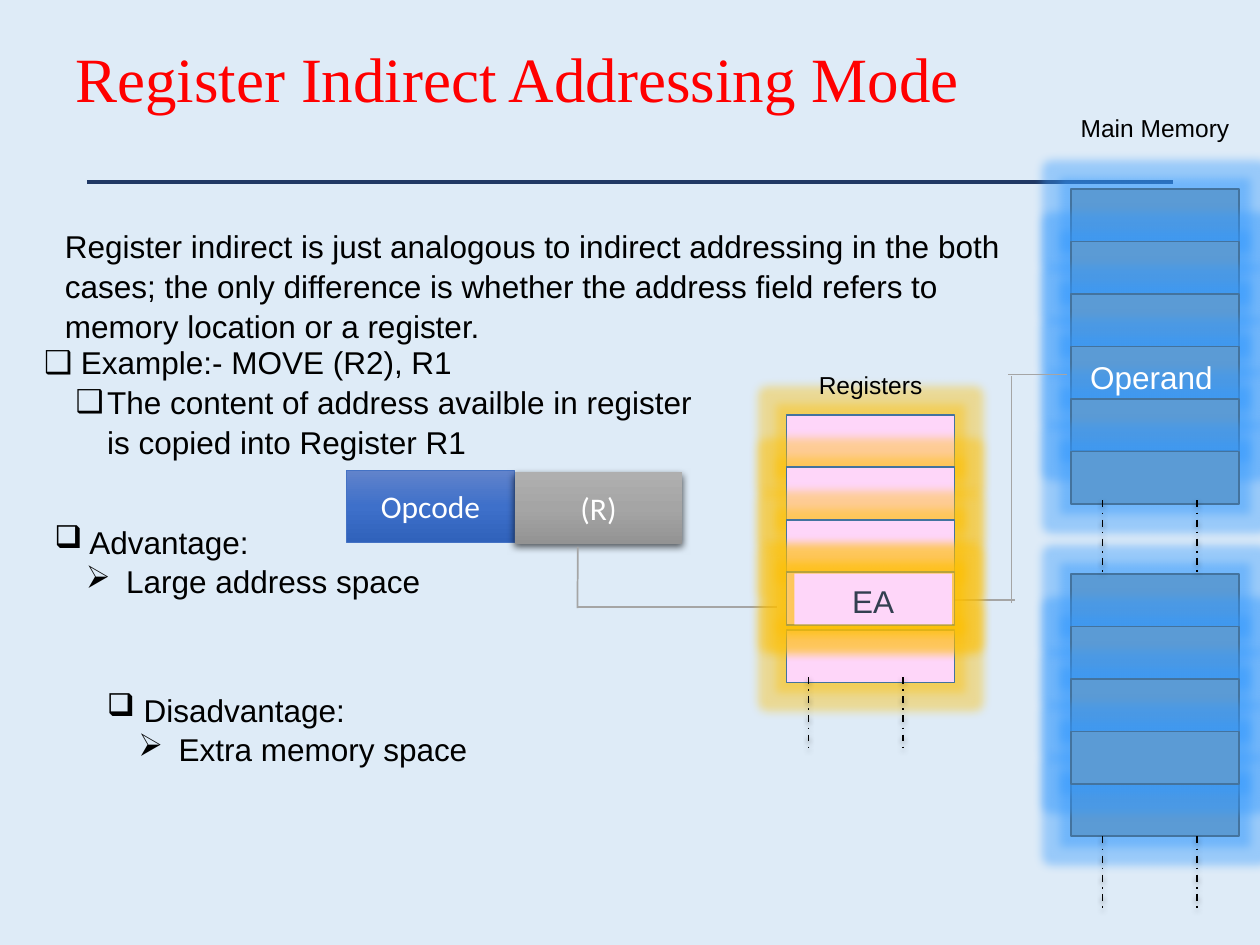
from copy import deepcopy
from dataclasses import dataclass

from lxml import etree
from pptx import Presentation
from pptx.dml.color import RGBColor
from pptx.enum.dml import MSO_LINE
from pptx.enum.shapes import MSO_CONNECTOR, MSO_SHAPE
from pptx.enum.text import MSO_ANCHOR, MSO_AUTO_SIZE, PP_ALIGN
from pptx.oxml.ns import qn
from pptx.util import Pt

RECT = MSO_SHAPE.RECTANGLE
STRAIGHT = MSO_CONNECTOR.STRAIGHT
DASH_DOT = MSO_LINE.DASH_DOT
LEFT, CENTER, JUSTIFY = PP_ALIGN.LEFT, PP_ALIGN.CENTER, PP_ALIGN.JUSTIFY
TOP, MIDDLE = MSO_ANCHOR.TOP, MSO_ANCHOR.MIDDLE
NO_AUTOFIT = MSO_AUTO_SIZE.NONE


@dataclass(frozen=True)
class Theme:
    background: str = "DEEBF7"
    title: str = "FF0000"
    text: str = "000000"
    light: str = "FFFFFF"
    slate: str = "333F50"
    rule: str = "203864"
    wire: str = "A5A5A5"
    memory: str = "5B9BD5"
    memory_glow: str = "3399FF"
    register: str = "FED6F9"
    register_glow: str = "FFC000"
    border: str = "43739E"
    opcode_border: str = "4472C4"
    opcode: tuple = ("6183CB", "3E70CA", "3062BB")
    operand: tuple = ("AFAFAF", "A5A5A5", "939393")
    title_size: int = 36
    body_size: int = 18
    label_size: int = 14
    title_font: str = "Times New Roman"
    body_font: str = "Arial"
    field_font: str = "Calibri"


class SlideBuilder:
    def __init__(self, slide, theme):
        self.s = slide
        self.t = theme
        fill = slide.background.fill
        fill.solid()
        fill.fore_color.rgb = RGBColor.from_string(theme.background)

    def set_text(self, sp, items, color=None, size=None, font=None, align=LEFT,
                 anchor=TOP, spacing=1.05):
        tf = sp.text_frame
        frame = {"word_wrap": True, "auto_size": NO_AUTOFIT, "vertical_anchor": anchor}
        for name, value in frame.items():
            setattr(tf, name, value)
        for i, item in enumerate(items):
            text, bullet, level, para_align = item if isinstance(item, tuple) else (item, None, 0, align)
            p = tf.paragraphs[0] if i == 0 else tf.add_paragraph()
            pPr = p._p.get_or_add_pPr()
            pPr.set("marL", str(Pt(36 * level)))
            pPr.set("indent", str(Pt(-18 if bullet and level else 0)))
            if bullet:
                etree.SubElement(pPr, qn("a:buChar")).set("char", bullet)
            else:
                etree.SubElement(pPr, qn("a:buNone"))
            layout = {"level": level, "alignment": para_align, "line_spacing": spacing,
                      "space_before": Pt(0), "space_after": Pt(0)}
            for name, value in layout.items():
                setattr(p, name, value)
            r = p.add_run()
            r.text = text
            style = {"name": font or self.t.body_font, "size": Pt(size or self.t.body_size)}
            for name, value in style.items():
                setattr(r.font, name, value)
            r.font.color.rgb = RGBColor.from_string(color or self.t.text)

    def placeholder(self, index, box, items, **style):
        sp = self.s.placeholders[index]
        for name, value in zip(("left", "top", "width", "height"), box):
            setattr(sp, name, Pt(value))
        self.set_text(sp, items, **style)

    def text(self, box, items, **style):
        self.set_text(self.s.shapes.add_textbox(*map(Pt, box)), items, **style)

    def effect(self, sp, kind, color, alpha, **lengths):
        spPr = sp._element.spPr
        effects = spPr.find(qn("a:effectLst"))
        if effects is None:
            effects = etree.SubElement(spPr, qn("a:effectLst"))
        node = etree.SubElement(effects, qn(f"a:{kind}"))
        for name, value in lengths.items():
            node.set(name, str(Pt(value)))
        if kind == "outerShdw":
            node.set("dir", "5400000")
            node.set("rotWithShape", "0")
        tint = etree.SubElement(node, qn("a:srgbClr"))
        tint.set("val", color)
        etree.SubElement(tint, qn("a:alpha")).set("val", str(alpha * 1000))

    def rect(self, box, fill, border=None, border_width=1, glow=None):
        sp = self.s.shapes.add_shape(RECT, *map(Pt, box))
        if isinstance(fill, tuple):
            sp.fill.gradient()
            sp.fill.gradient_angle = 270
            stops = next(sp._element.spPr.iter(qn("a:gsLst")))
            middle = deepcopy(stops[0])
            middle.set("pos", "50000")
            stops.insert(1, middle)
            for stop, color in zip(sp.fill.gradient_stops, fill):
                stop.color.rgb = RGBColor.from_string(color)
        else:
            sp.fill.solid()
            sp.fill.fore_color.rgb = RGBColor.from_string(fill)
        if border:
            sp.line.color.rgb = RGBColor.from_string(border)
            sp.line.width = Pt(border_width)
        else:
            sp.line.fill.background()
        sp.shadow.inherit = False
        if glow:
            self.effect(sp, "glow", glow, 40, rad=11)
        return sp

    def line(self, x1, y1, x2, y2, color, width=1):
        c = self.s.shapes.add_connector(STRAIGHT, *map(Pt, (x1, y1, x2, y2)))
        c.line.color.rgb = RGBColor.from_string(color)
        c.line.width = Pt(width)
        etree.SubElement(c._element.spPr, qn("a:effectLst"))
        return c

    def continuation(self, xs, top):
        for x in xs:
            c = self.line(x, top, x, top + 42, self.t.text)
            c.line.dash_style = DASH_DOT
            self.effect(c, "outerShdw", self.t.text, 38, blurRad=3.1, dist=1.6)

    def cells(self, left, tops, fill, glow):
        for top in tops:
            self.rect((left, top, 96, 30), fill, self.t.border, glow=glow)


def main():
    prs = Presentation()
    prs.slide_width, prs.slide_height = Pt(720), Pt(540)
    t = Theme()
    b = SlideBuilder(prs.slides.add_slide(prs.slide_layouts[1]), t)

    b.line(49.7, 104.2, 670.3, 104.2, t.rule, 2.25)
    b.placeholder(0, (36, 21.6, 648, 50.4), ["Register Indirect Addressing Mode"],
                  color=t.title, size=t.title_size, font=t.title_font,
                  anchor=MIDDLE, spacing=0.9)
    b.text((30, 125.3, 564, 72.7), [
        "Register indirect is just analogous to indirect addressing in the both cases; "
        "the only difference is whether the address field refers to memory location or a register."])
    b.placeholder(1, (18, 191.5, 582, 72.7), [
        (" Example:- MOVE (R2), R1", "❑", 0, LEFT),
        ("The content of address availble in register", "❑", 1, LEFT),
        ("is copied into Register R1", None, 1, LEFT)])
    b.text((24, 294, 500, 51), [
        (" Advantage:", "❑", 0, LEFT),
        (" Large address space", "➢", 1, LEFT)])
    b.text((54, 390, 486, 51), [
        (" Disadvantage:", "❑", 0, LEFT),
        (" Extra memory space", "➢", 1, JUSTIFY)])

    field = {"color": t.light, "font": t.field_font, "align": CENTER, "anchor": MIDDLE, "spacing": 1}
    sp = b.rect((198, 268.8, 96, 41), t.opcode, t.opcode_border, 0.5)
    b.set_text(sp, ["Opcode"], **field)
    sp = b.rect((294, 270, 96, 41), t.operand)
    b.effect(sp, "outerShdw", t.text, 63, blurRad=4.5, dist=1.5)
    b.set_text(sp, ["(R)"], **field)

    b.cells(612, range(108, 288, 30), t.memory, t.memory_glow)
    b.cells(612, [448, *range(328, 448, 30)], t.memory, t.memory_glow)
    for top in (286, 478):
        b.continuation((630, 684), top)
    b.text((594, 60, 132, 24.3), ["Main Memory"], size=t.label_size, align=CENTER)

    wires = [(330.2, 312.5, 330, 347.5), (330, 346.8, 444, 346.8), (546, 343, 580, 343),
             (578, 215, 578, 344.5), (576, 214, 610, 214)]
    for wire in wires:
        b.line(*wire, t.wire)
    b.text((615, 200, 86, 22), ["Operand"], color=t.light, align=CENTER)

    b.cells(449.5, [360, *range(237, 357, 30)], t.register, t.register_glow)
    b.text((431.5, 207, 132, 24.3), ["Registers"], size=t.label_size, align=CENTER)
    b.continuation((462, 516), 387)
    sp = b.rect((454, 327.8, 90, 29), t.register, glow=t.register_glow)
    b.set_text(sp, ["EA"], color=t.slate, align=CENTER)

    prs.save("out.pptx")


if __name__ == "__main__":
    main()
